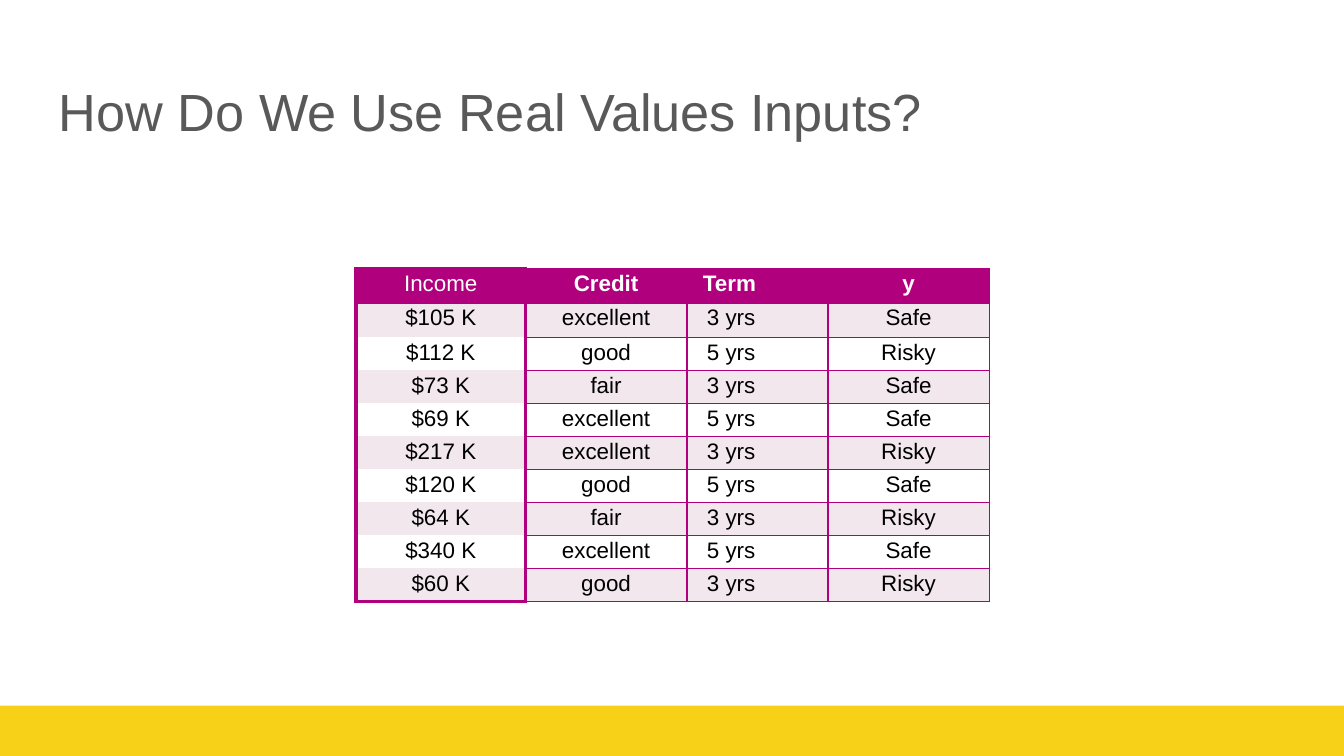
"""Build the slide on real-valued inputs: a title, a loan table and a footer band."""
from dataclasses import dataclass

from lxml.etree import SubElement
from pptx import Presentation
from pptx.dml.color import RGBColor
from pptx.enum.shapes import MSO_SHAPE as Preset
from pptx.enum.text import PP_ALIGN as Align
from pptx.oxml.ns import qn
from pptx.slide import Slide
from pptx.table import _Cell as Cell
from pptx.text.text import _Paragraph as Paragraph
from pptx.util import Emu, Inches, Pt

SLIDE_WIDTH = Inches(10)
SLIDE_HEIGHT = Emu(SLIDE_WIDTH * 9 // 16)
PLAIN_TABLE = "{2D5ABB26-0587-4C30-8999-92F81FD0307C}"


@dataclass(frozen=True)
class Theme:
    font: str = "Arial"
    band: str = "F7D117"
    title: str = "595959"
    accent: str = "B0007E"
    stripe: str = "F2E7EC"
    header_text: str = "FFFFFF"
    body_text: str = "000000"
    title_size: float = 28
    table_size: float = 12
    frame: float = 2.25
    divider: float = 1.5
    rule: float = 0.75


@dataclass(frozen=True)
class Box:
    """Place and size in percent of the slide."""
    left: float
    top: float
    width: float
    height: float

    def lengths(self) -> tuple[Emu, Emu, Emu, Emu]:
        return across(self.left), down(self.top), across(self.width), down(self.height)


@dataclass(frozen=True)
class Column:
    heading: str
    width: float
    header_indent: float = 0
    body_indent: float = 0


THEME = Theme()
BAND = Box(0, 93.33, 100, 6.67)
TITLE = Box(3.4, 8.7, 93.2, 11.2)
TABLE = Box(26.5, 35.5, 47.1, 44.1)
HEADER_HEIGHT = 4.75
COLUMNS = (
    Column("Income", 12.6),
    Column("Credit", 12),
    Column("Term", 10.5, header_indent=0.12, body_indent=0.15),
    Column("y", 12),
)
LOANS = (
    ("$105 K", "excellent", "3 yrs", "Safe"),
    ("$112 K", "good", "5 yrs", "Risky"),
    ("$73 K", "fair", "3 yrs", "Safe"),
    ("$69 K", "excellent", "5 yrs", "Safe"),
    ("$217 K", "excellent", "3 yrs", "Risky"),
    ("$120 K", "good", "5 yrs", "Safe"),
    ("$64 K", "fair", "3 yrs", "Risky"),
    ("$340 K", "excellent", "5 yrs", "Safe"),
    ("$60 K", "good", "3 yrs", "Risky"),
)


def across(percent: float) -> Emu:
    return Emu(round(SLIDE_WIDTH * percent / 100))


def down(percent: float) -> Emu:
    return Emu(round(SLIDE_HEIGHT * percent / 100))


def style_text(paragraph: Paragraph, size: float, color: str, bold: bool = False) -> None:
    for run in paragraph.runs:
        run.font.name = THEME.font
        run.font.size = Pt(size)
        run.font.bold = bold
        run.font.color.rgb = RGBColor.from_string(color)


def draw_band(slide: Slide) -> None:
    shape = slide.shapes.add_shape(Preset.RECTANGLE, *BAND.lengths())
    shape.shadow.inherit = False
    shape.fill.solid()
    shape.fill.fore_color.rgb = RGBColor.from_string(THEME.band)
    shape.line.fill.background()


def draw_title(slide: Slide, text: str) -> None:
    frame = slide.shapes.add_textbox(*TITLE.lengths()).text_frame
    frame.word_wrap = True
    frame.margin_left = frame.margin_right = Inches(0.1)
    frame.margin_top = frame.margin_bottom = Inches(0.1)
    frame.text = text
    style_text(frame.paragraphs[0], THEME.title_size, THEME.title)


def cell_borders(row: int, column: int) -> dict[str, float]:
    """Frame the first column heavily and rule the others lightly."""
    last_row, last_column = len(LOANS), len(COLUMNS) - 1
    if column == 0:
        borders = {"L": THEME.frame, "R": THEME.frame}
        if row == 0:
            borders["T"] = THEME.frame
        if row == last_row:
            borders["B"] = THEME.frame
        return borders
    borders = {}
    if column == 1:
        borders["L"] = THEME.frame
        borders["R"] = THEME.divider
    if column == 2:
        borders["L"] = THEME.divider
    if column == last_column:
        borders["R"] = THEME.rule
    if row > 1:
        borders["T"] = THEME.rule
    if row > 0:
        borders["B"] = THEME.rule
    return borders


def set_borders(cell: Cell, borders: dict[str, float]) -> None:
    properties = cell._tc.get_or_add_tcPr()
    for side in "LRTB":
        if side in borders:
            line = SubElement(properties, qn(f"a:ln{side}"), w=str(Pt(borders[side])))
            fill = SubElement(line, qn("a:solidFill"))
            SubElement(fill, qn("a:srgbClr"), val=THEME.accent)


def fill_cell(cell: Cell, text: str, row: int, column: int) -> None:
    header = row == 0
    cell.margin_left = cell.margin_right = cell.margin_bottom = 0
    cell.margin_top = Inches(0.01 if row == 1 else 0.02)
    set_borders(cell, cell_borders(row, column))
    if row == 0 or row % 2 == 1:
        cell.fill.solid()
        cell.fill.fore_color.rgb = RGBColor.from_string(THEME.accent if header else THEME.stripe)
    else:
        cell.fill.background()
    cell.text_frame.text = text
    paragraph = cell.text_frame.paragraphs[0]
    layout = COLUMNS[column]
    indent = layout.header_indent if header else layout.body_indent
    if indent:
        properties = paragraph._p.get_or_add_pPr()
        properties.set("marL", str(Inches(indent)))
        properties.set("indent", "0")
    else:
        paragraph.alignment = Align.CENTER
    color = THEME.header_text if header else THEME.body_text
    style_text(paragraph, THEME.table_size, color, bold=header and column > 0)


def draw_table(slide: Slide) -> None:
    rows = (tuple(column.heading for column in COLUMNS), *LOANS)
    table = slide.shapes.add_table(len(rows), len(COLUMNS), *TABLE.lengths()).table
    table._tbl.tblPr.find(qn("a:tableStyleId")).text = PLAIN_TABLE
    table.horz_banding = False
    for grid_column, column in zip(table.columns, COLUMNS):
        grid_column.width = across(column.width)
    body_height = (TABLE.height - HEADER_HEIGHT) / len(LOANS)
    for row, texts in enumerate(rows):
        table.rows[row].height = down(body_height if row else HEADER_HEIGHT)
        for column, text in enumerate(texts):
            fill_cell(table.cell(row, column), text, row, column)


def main() -> None:
    presentation = Presentation()
    presentation.slide_width = SLIDE_WIDTH
    presentation.slide_height = SLIDE_HEIGHT
    slide = presentation.slides.add_slide(presentation.slide_layouts[6])
    draw_band(slide)
    draw_title(slide, "How Do We Use Real Values Inputs?")
    draw_table(slide)
    presentation.save("out.pptx")


if __name__ == "__main__":
    main()
